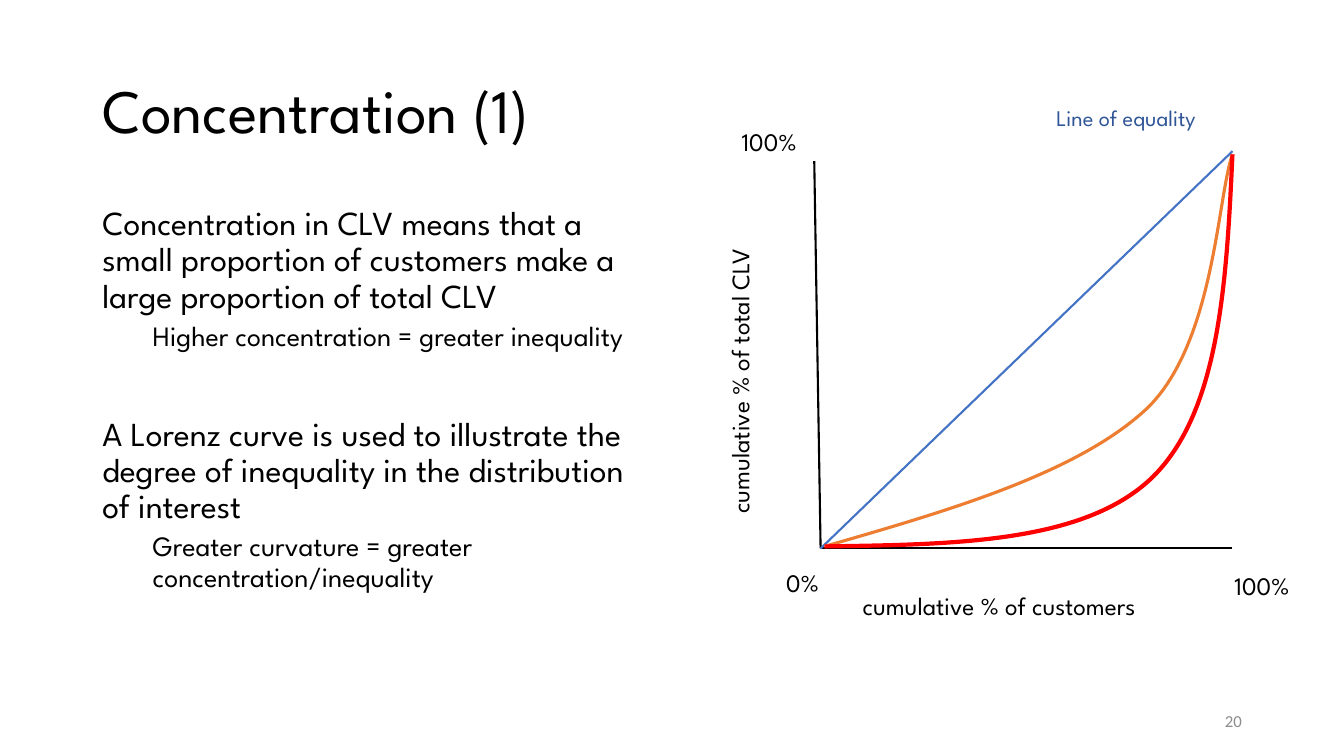
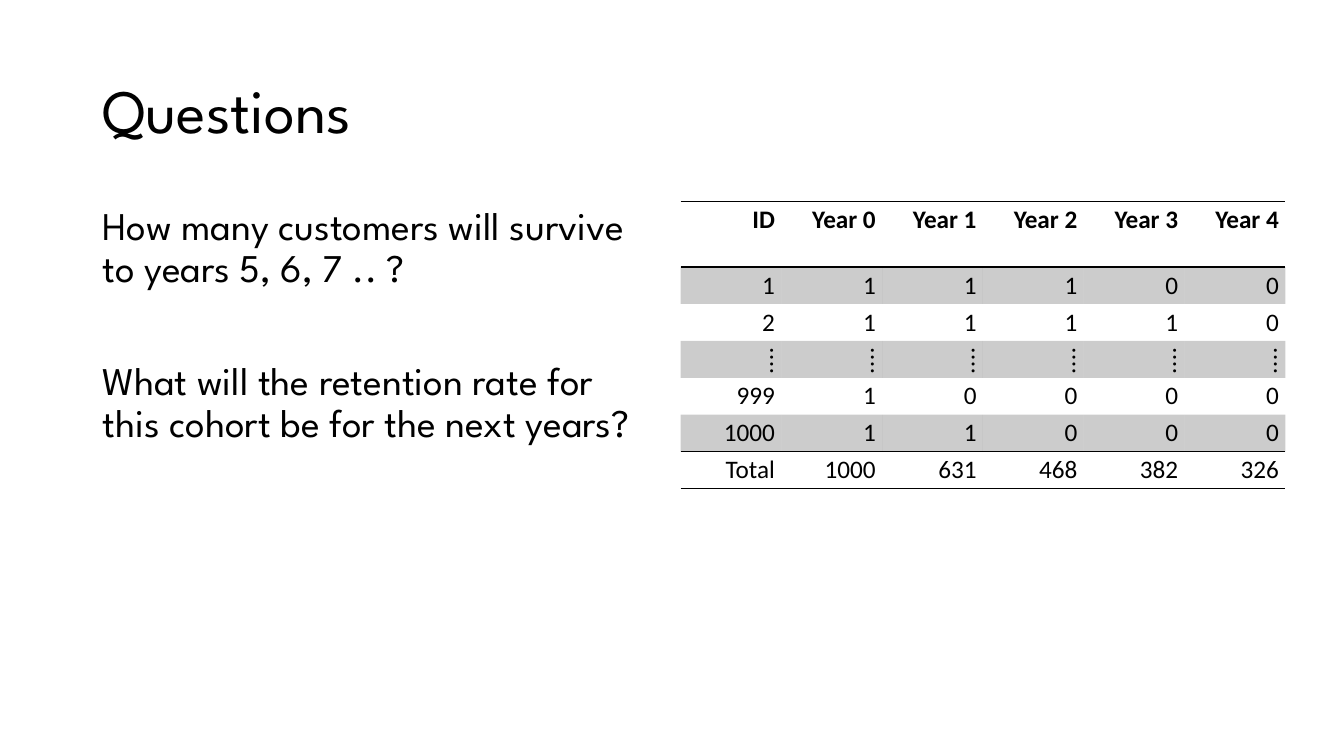
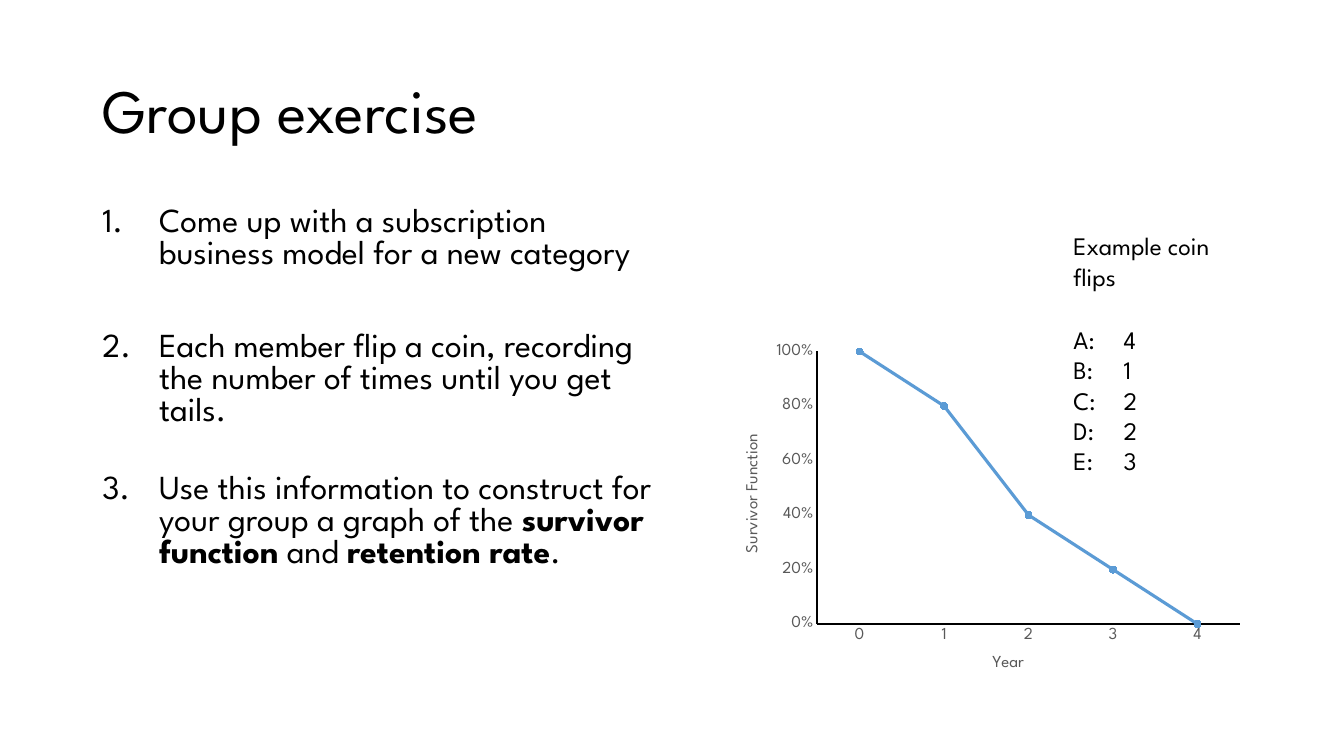
import dataclasses

import lxml.etree
import pptx
import pptx.chart.data
import pptx.dml.color
import pptx.enum.chart
import pptx.enum.shapes
import pptx.enum.text
import pptx.oxml
import pptx.oxml.ns
import pptx.util

Cm = pptx.util.Cm
Pt = pptx.util.Pt
qn = pptx.oxml.ns.qn
ALIGN = pptx.enum.text.PP_ALIGN
ANCHOR = pptx.enum.text.MSO_ANCHOR


@dataclasses.dataclass(frozen=True)
class Theme:
    # Fonts
    font: str = "League Spartan"
    plain_font: str = "Calibri"
    # Colours
    text: str = "000000"
    muted: str = "8C8C8C"
    axis_text: str = "595959"
    equality: str = "4472C4"
    equality_label: str = "2F5597"
    moderate: str = "ED7D31"
    strong: str = "FF0000"
    series: str = "5B9BD5"
    # Type sizes in points
    title: int = 44
    large: int = 28
    body: int = 24
    sub: int = 20
    label: int = 18
    note: int = 16
    small: int = 12
    # Shared places in cm: left, top, width, height
    title_box: tuple = (2.33, 1.02, 29.21, 3.68)
    body_box: tuple = (2.33, 5.08, 14.4, 12.1)
    number_box: tuple = (23.93, 17.66, 7.62, 1.01)


T = Theme()


@dataclasses.dataclass
class Para:
    """A paragraph; runs are plain strings or (text, bold) pairs."""
    runs: list
    size: int = T.label
    before: float = 0
    spacing: float = 1.0
    indent: float = 0
    numbered: bool = False
    align: ALIGN = ALIGN.LEFT


def rgb(color):
    return pptx.dml.color.RGBColor.from_string(color)


# Text
def style_font(font, size, color=T.text, name=T.font, bold=False):
    font.size = Pt(size)
    font.name = name
    font.bold = bold
    font.color.rgb = rgb(color)


def add_run(p, text, size, **style):
    r = p.add_run()
    r.text = text
    style_font(r.font, size, **style)


def set_indent(p, para):
    pPr = p._p.get_or_add_pPr()
    pPr.set("marL", str(Cm(para.indent)))
    if para.numbered:
        pPr.set("indent", str(-Cm(para.indent)))
        num = lxml.etree.SubElement(pPr, qn("a:buAutoNum"))
        num.set("type", "arabicPeriod")


def add_text(slide, box, paras, color=T.text, name=T.font,
             anchor=ANCHOR.TOP, wrap=True, grow=False, rotation=0):
    sp = slide.shapes.add_textbox(*map(Cm, box))
    sp.rotation = rotation
    tf = sp.text_frame
    tf.word_wrap = wrap
    tf.vertical_anchor = anchor
    if grow:
        tf.auto_size = pptx.enum.text.MSO_AUTO_SIZE.SHAPE_TO_FIT_TEXT
    for i, para in enumerate(paras):
        p = tf.add_paragraph() if i else tf.paragraphs[0]
        p.alignment = para.align
        p.line_spacing = para.spacing
        p.space_before = Pt(para.before)
        set_indent(p, para)
        for run in para.runs:
            text, bold = (run, False) if isinstance(run, str) else run
            add_run(p, text, para.size, color=color, name=name, bold=bold)


def add_label(slide, box, text, size=T.label, color=T.text, rotation=0):
    add_text(slide, box, [Para([text], size)], color=color,
             wrap=False, grow=True, rotation=rotation)


def new_slide(prs, title):
    slide = prs.slides.add_slide(prs.slide_layouts[6])
    add_text(slide, T.title_box, [Para([title], T.title, spacing=0.9)],
             anchor=ANCHOR.MIDDLE)
    return slide


# Lines and curves
def add_line(slide, start, end, color=T.text, width=1.5):
    line = slide.shapes.add_connector(
        pptx.enum.shapes.MSO_CONNECTOR.STRAIGHT,
        *map(Cm, start + end))
    line.line.color.rgb = rgb(color)
    line.line.width = Pt(width)
    lxml.etree.SubElement(line._element.spPr, qn("a:effectLst"))


def add_curve(slide, points, color, width):
    """Draw Bezier segments: a start point, then three points for each."""
    start, *rest = [(Cm(x), Cm(y)) for x, y in points]
    builder = slide.shapes.build_freeform(*start)
    builder.add_line_segments(rest, close=False)
    sp = builder.convert_to_shape()
    sp.shadow.inherit = False
    sp.fill.background()
    sp.line.color.rgb = rgb(color)
    sp.line.width = Pt(width)
    # Each three straight steps become one cubic segment
    outline = next(sp._element.iter(qn("a:path")))
    steps = outline.findall(qn("a:lnTo"))
    for i in range(0, len(steps), 3):
        cubic = lxml.etree.SubElement(outline, qn("a:cubicBezTo"))
        for step in steps[i:i + 3]:
            cubic.append(step[0])
            outline.remove(step)


# Table
def set_borders(cell, ruled):
    """Rule the given sides in black and clear the others."""
    tcPr = cell._tc.get_or_add_tcPr()
    for i, side in enumerate(("lnL", "lnR", "lnT", "lnB")):
        ln = lxml.etree.Element(qn("a:" + side), w=str(Pt(1)))
        if side in ruled:
            fill = lxml.etree.SubElement(ln, qn("a:solidFill"))
            lxml.etree.SubElement(fill, qn("a:srgbClr"), val=T.text)
        else:
            lxml.etree.SubElement(ln, qn("a:noFill"))
        tcPr.insert(i, ln)


def shade(cell, opacity):
    cell.fill.solid()
    cell.fill.fore_color.rgb = rgb(T.text)
    color = next(cell._tc.tcPr.iter(qn("a:srgbClr")))
    lxml.etree.SubElement(color, qn("a:alpha"), val=str(opacity * 1000))


def add_cohort_table(slide, box, rows, header_height, row_height):
    frame = slide.shapes.add_table(len(rows), len(rows[0]), *map(Cm, box))
    table = frame.table
    table.first_row = table.horz_banding = False
    last = len(rows) - 1
    rules = {0, 1, last, last + 1}
    for column in table.columns:
        column.width = Cm(box[2] / len(rows[0]))
    for i, values in enumerate(rows):
        table.rows[i].height = Cm(row_height if i else header_height)
        for j, value in enumerate(values):
            cell = table.cell(i, j)
            cell.margin_left = cell.margin_right = Cm(0.16)
            cell.margin_top = cell.margin_bottom = Cm(0.08)
            p = cell.text_frame.paragraphs[0]
            p.alignment = ALIGN.RIGHT
            add_run(p, value, T.label, name=T.plain_font, bold=i == 0)
            if i % 2 and i < last:
                shade(cell, 20)
            else:
                cell.fill.background()
            ruled = [side for side, edge in (("lnT", i), ("lnB", i + 1))
                     if edge in rules]
            set_borders(cell, ruled)


# Chart
def style_axis(axis, title, width):
    axis.has_major_gridlines = False
    axis.major_tick_mark = pptx.enum.chart.XL_TICK_MARK.NONE
    axis.minor_tick_mark = pptx.enum.chart.XL_TICK_MARK.NONE
    axis.format.line.color.rgb = rgb(T.text)
    axis.format.line.width = Pt(width)
    style_font(axis.tick_labels.font, T.small, T.axis_text)
    p = axis.axis_title.text_frame.paragraphs[0]
    add_run(p, title, T.small, color=T.axis_text)


def set_plot_area(chart, x, y, w, h):
    area = next(chart._chartSpace.iter(qn("c:plotArea")))
    for old in area.findall(qn("c:layout")):
        area.remove(old)
    layout = lxml.etree.Element(qn("c:layout"))
    manual = lxml.etree.SubElement(layout, qn("c:manualLayout"))
    settings = {"layoutTarget": "inner", "xMode": "edge", "yMode": "edge",
                "x": x, "y": y, "w": w, "h": h}
    for tag, value in settings.items():
        lxml.etree.SubElement(manual, qn("c:" + tag), val=str(value))
    area.insert(0, layout)


def add_survivor_chart(slide, box, survival):
    data = pptx.chart.data.CategoryChartData(number_format="0%")
    data.categories = [str(year) for year in range(len(survival))]
    data.add_series("Series 1", survival)
    chart = slide.shapes.add_chart(
        pptx.enum.chart.XL_CHART_TYPE.LINE_MARKERS,
        *map(Cm, box), data).chart
    chart.has_legend = False
    chart.has_title = False
    style_font(chart.font, T.small)
    chart.plots[0].vary_by_categories = False
    style_axis(chart.category_axis, "Year", 1.5)
    values = chart.value_axis
    style_axis(values, "Survivor Function", 1.5)
    values.minimum_scale, values.maximum_scale = 0, 1
    values.major_unit = 0.2
    values.tick_labels.number_format = "0%"
    values.tick_labels.number_format_is_linked = False
    set_plot_area(chart, 0.16, 0.02, 0.84, 0.81)
    # Line and markers
    series = chart.plots[0].series[0]
    series.smooth = False
    series.format.line.color.rgb = rgb(T.series)
    series.format.line.width = Pt(2.25)
    series.marker.style = pptx.enum.chart.XL_MARKER_STYLE.CIRCLE
    series.marker.size = 5
    series.marker.format.fill.solid()
    series.marker.format.fill.fore_color.rgb = rgb(T.series)
    series.marker.format.line.color.rgb = rgb(T.series)


# Slides
def concentration_slide(prs):
    slide = new_slide(prs, "Concentration (1)")

    def point(text, before):
        return Para([text], T.body, before, 0.9)

    def detail(text):
        return Para([text], T.sub, 5, 0.9, indent=1.27)

    add_text(slide, T.body_box, [
        point("Concentration in CLV means that a small proportion of "
              "customers make a large proportion of total CLV", 10),
        detail("Higher concentration = greater inequality"),
        point("A Lorenz curve is used to illustrate the degree of "
              "inequality in the distribution of interest", 46),
        detail("Greater curvature = greater concentration/inequality"),
    ])
    # Axes and their labels
    origin = (20.68, 13.82)
    add_line(slide, (20.52, 4.06), origin)
    add_line(slide, (31.06, 13.82), origin)
    add_label(slide, (21.49, 14.76, 8.81, 1.02), "cumulative % of customers")
    add_label(slide, (14.38, 8.43, 8.51, 1.02), "cumulative % of total CLV",
              rotation=270)
    add_label(slide, (30.86, 14.25, 2.08, 1.02), "100%")
    add_label(slide, (18.44, 3.05, 2.08, 1.02), "100%")
    add_label(slide, (19.56, 14.17, 1.37, 1.02), "0%")
    # Line of equality
    add_line(slide, origin, (31.06, 3.81), T.equality)
    add_label(slide, (26.37, 2.51, 4.7, 0.94), "Line of equality",
              T.note, T.equality_label)
    # Lorenz curves
    start, end = (20.78, 13.77), (31.06, 3.89)
    add_curve(slide, [start, (23.98, 12.85), (27.18, 11.91), (28.91, 10.29),
                      (30.61, 8.64), (30.68, 4.95), end], T.moderate, 2.25)
    add_curve(slide, [start, (24.03, 13.72), (27.31, 13.69), (29.03, 12.04),
                      (30.73, 10.39), (30.91, 7.14), end], T.strong, 3)
    # Page number
    add_text(slide, T.number_box,
             [Para(["20"], T.small, align=ALIGN.RIGHT)],
             color=T.muted, name=T.plain_font, anchor=ANCHOR.MIDDLE)


def questions_slide(prs):
    slide = new_slide(prs, "Questions")
    add_text(slide, T.body_box, [
        Para(["How many customers will survive to years 5, 6, 7 .. ?"],
             T.large, 10, 0.9),
        Para(["What will the retention rate for this cohort be for the "
              "next years?"], T.large, 50, 0.9),
    ])
    rows = [
        ["ID"] + [f"Year {year}" for year in range(5)],
        ["1", "1", "1", "1", "0", "0"],
        ["2", "1", "1", "1", "1", "0"],
        ["⁞"] * 6,
        ["999", "1", "0", "0", "0", "0"],
        ["1000", "1", "1", "0", "0", "0"],
        ["Total", "1000", "631", "468", "382", "326"],
    ]
    add_cohort_table(slide, (17.15, 5.08, 15.24, 7.23), rows, 1.65, 0.93)


def exercise_slide(prs):
    slide = new_slide(prs, "Group exercise")
    steps = [
        (10, ["Come up with a subscription business model for a new "
              "category"]),
        (43, ["Each member flip a coin, recording the number of times until "
              "you get tails."]),
        (32.5, ["Use this information to construct for your group a graph "
                "of the ", ("survivor function", True), " and ",
                ("retention rate", True), "."]),
    ]
    add_text(slide, T.body_box,
             [Para(runs, T.body, before, 0.8, indent=1.43, numbered=True)
              for before, runs in steps])
    add_survivor_chart(slide, (18.57, 8.66, 12.7, 8.51),
                       [1, 0.8, 0.4, 0.2, 0])
    # Coin flips
    flips = zip("ABCDE", (4, 1, 2, 2, 3))
    add_text(slide, (26.8, 8.05, 4.47, 4.11),
             [Para([f"{member}: \t{count}"]) for member, count in flips],
             grow=True)
    add_text(slide, (26.8, 5.69, 4.47, 1.8), [Para(["Example coin flips"])],
             grow=True)


def main():
    prs = pptx.Presentation()
    prs.slide_width, prs.slide_height = Cm(33.87), Cm(19.05)
    concentration_slide(prs)
    questions_slide(prs)
    exercise_slide(prs)
    prs.save("out.pptx")


if __name__ == "__main__":
    main()
